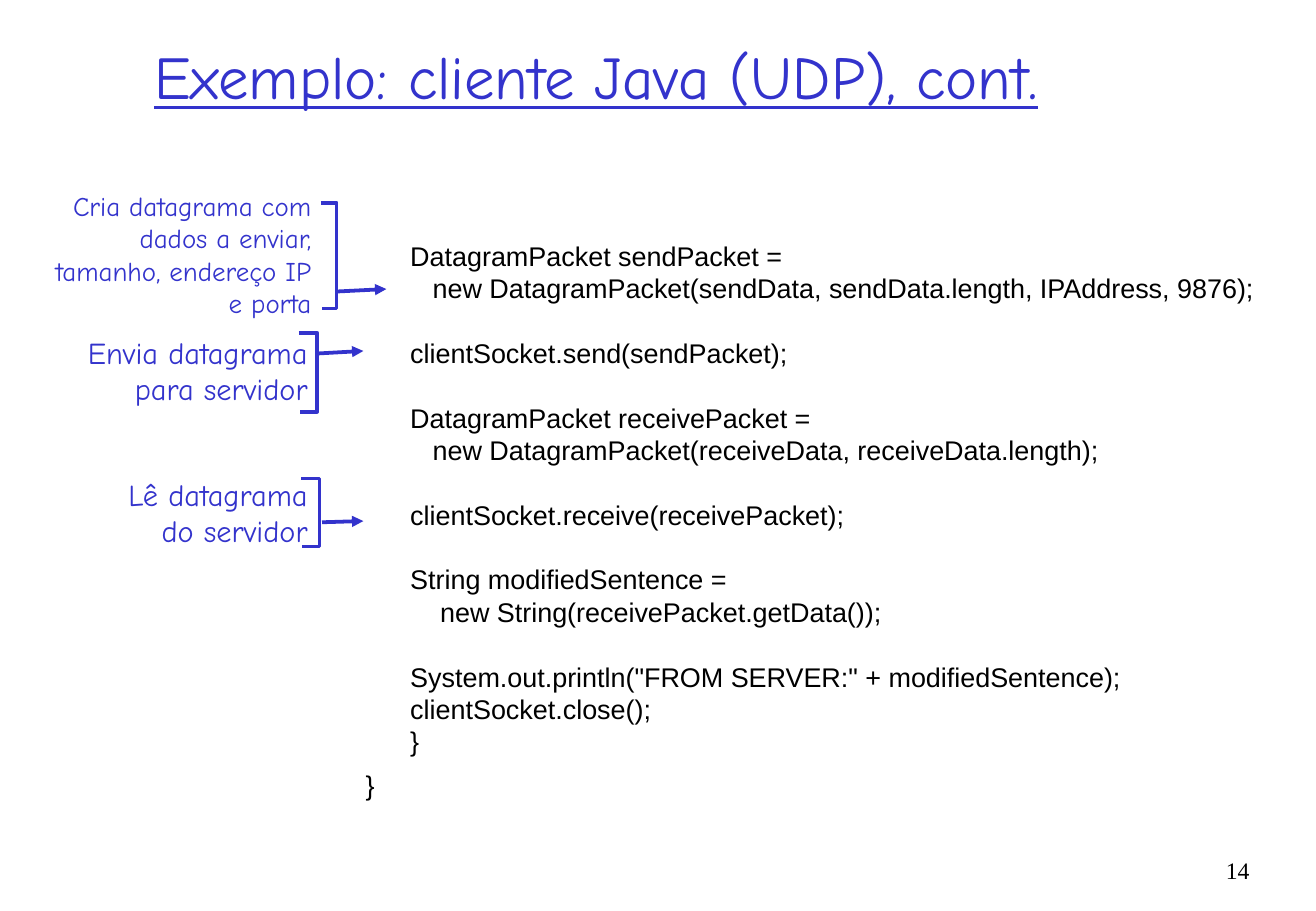
"""Build the slide on the Java UDP client: code with three bracketed notes."""
from lxml.etree import SubElement
from pptx import Presentation
from pptx.dml.color import RGBColor
from pptx.enum.text import MSO_ANCHOR as Anchor, PP_ALIGN as Align
from pptx.oxml.ns import qn
from pptx.util import Inches, Pt

BLUE = RGBColor(0x33, 0x33, 0xCC)
BLACK = RGBColor(0, 0, 0)
STROKE = Pt(2.25)
LEADING = 1.2

deck = Presentation()
deck.slide_width, deck.slide_height = Inches(10.83), Inches(7.5)
COL, ROW = deck.slide_width / 100, deck.slide_height / 100
slide = deck.slides.add_slide(deck.slide_layouts[5])


def at(*grid):
    """Turn alternating columns and rows into lengths."""
    return [round(value * (ROW if i % 2 else COL)) for i, value in enumerate(grid)]


def write(area, groups, align, color, **style):
    """Write groups of lines, one line's height apart, from the top of the area."""
    frame = area.text_frame
    frame.word_wrap = True
    frame.vertical_anchor = Anchor.TOP
    pitch = Pt(style["size"].pt * LEADING)
    lines = [(text, g > 0 and i == 0)
             for g, group in enumerate(groups) for i, text in enumerate(group)]
    for number, (text, opens_group) in enumerate(lines):
        line = frame.paragraphs[0] if number == 0 else frame.add_paragraph()
        line.text = text
        line.alignment = align
        line.line_spacing = pitch
        if opens_group:
            line.space_before = pitch
        line.font.color.rgb = color
        for name, value in style.items():
            setattr(line.font, name, value)
    return frame.paragraphs


title = slide.shapes.title
title.left, title.top, title.width, title.height = at(10.8, -0.4, 78.39, 17.33)
title.text_frame.text = "Exemplo: cliente Java (UDP), cont."
title.text_frame.vertical_anchor = Anchor.MIDDLE
heading = title.text_frame.paragraphs[0]
heading.alignment = Align.LEFT
heading.font.color.rgb = BLUE
for name, value in {"name": "Comic Neue", "size": Pt(36), "underline": True}.items():
    setattr(heading.font, name, value)

CODE = [
    ["      DatagramPacket sendPacket =",
     "         new DatagramPacket(sendData, sendData.length, IPAddress, 9876);"],
    ["      clientSocket.send(sendPacket);"],
    ["      DatagramPacket receivePacket =",
     "         new DatagramPacket(receiveData, receiveData.length);"],
    ["      clientSocket.receive(receivePacket);"],
    ["      String modifiedSentence =",
     "          new String(receivePacket.getData());"],
    ["      System.out.println(\"FROM SERVER:\" + modifiedSentence);",
     "      clientSocket.close();",
     "      }",
     "}"],
]
code = slide.shapes.add_textbox(*at(26.87, 25.6, 71.5, 63.6))
code_lines = write(code, CODE, Align.LEFT, BLACK, name="Arial", size=Pt(16))
code_lines[-1].line_spacing = Pt(26)

NOTES = [
    (["Cria datagrama com", "dados a enviar,", "tamanho, endereço IP", "e porta"],
     16, (24.56, 20.13, 19.2), (24.38, 22.27, 25.58, 33.87), (25.58, 32, 29.36, 31.73)),
    (["Envia datagrama", "para servidor"],
     18, (24.28, 36, 9.33), (22.71, 36.53, 24.1, 45.2), (24.19, 38.8, 27.61, 38.53)),
    (["Lê datagrama", "do servidor"],
     18, (24.28, 51.6, 9.33), (22.9, 52.53, 24.28, 60), (24.47, 57.33, 27.61, 57.2)),
]
NOTE_WIDTH = 22.2

for words, size, (right, top, height), bracket_edges, arrow_ends in NOTES:
    note = slide.shapes.add_textbox(*at(right - NOTE_WIDTH, top, NOTE_WIDTH, height))
    write(note, [words], Align.RIGHT, BLUE, name="Comic Neue", size=Pt(size))

    x1, y1, x2, y2 = at(*bracket_edges)
    outline = slide.shapes.build_freeform(x1, y1)
    outline.add_line_segments([(x2, y1), (x2, y2), (x1 + Inches(0.01), y2)], close=False)
    bracket = outline.convert_to_shape()
    bracket.shadow.inherit = False
    bracket.fill.background()

    arrow = slide.shapes.add_connector(1, *at(*arrow_ends))
    for stroke in (bracket.line, arrow.line):
        stroke.color.rgb = BLUE
        stroke.width = STROKE
    properties = arrow.element.spPr
    SubElement(properties.find(qn("a:ln")), qn("a:tailEnd"), type="triangle")
    SubElement(properties, qn("a:effectLst"))

page = slide.shapes.add_textbox(*at(90.86, 93.33, 4.99, 6.67))
write(page, [["14"]], Align.RIGHT, BLACK, name="Times New Roman", size=Pt(14))

deck.save("out.pptx")
